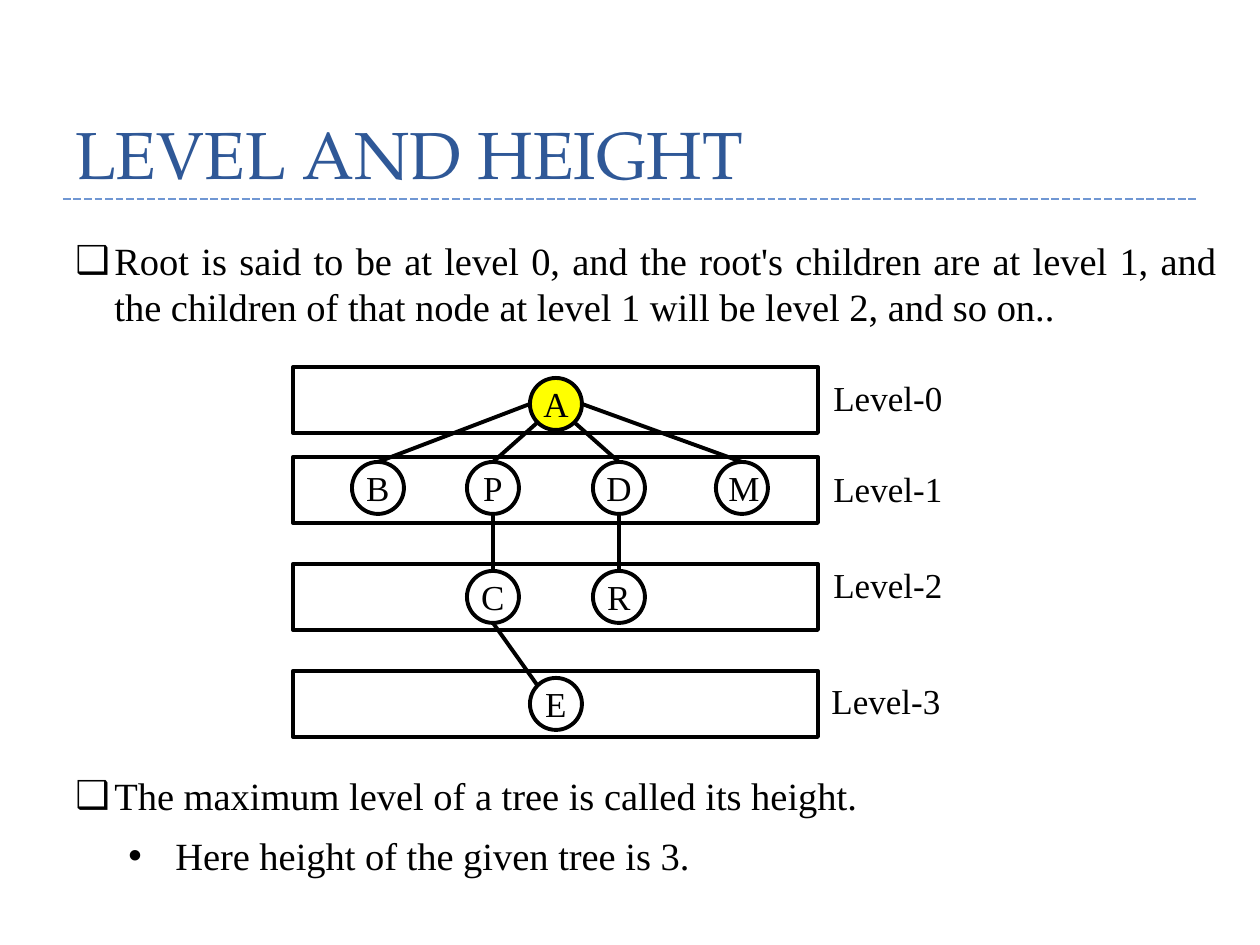
from math import cos, radians, sin

from lxml.etree import SubElement
from pptx import Presentation
from pptx.dml.color import RGBColor
from pptx.enum.dml import MSO_LINE_DASH_STYLE as DASH
from pptx.enum.shapes import MSO_CONNECTOR as CONN, MSO_SHAPE as SHAPE
from pptx.enum.text import MSO_ANCHOR as ANCHOR, MSO_AUTO_SIZE as AUTO, PP_ALIGN as ALIGN
from pptx.oxml.ns import qn
from pptx.util import Emu, Pt

PX = 914400 // 126
COLORS = {"title": "2F5897", "rule": "7097D3", "ink": "000000", "root": "FFFF00"}
SERIF = "Times New Roman"
FONTS = {
    "title": {"name": "TeX Gyre Pagella", "size": Pt(38)},
    "body": {"name": SERIF, "size": Pt(22)},
    "label": {"name": SERIF, "size": Pt(20)},
}
DIAMETER = 52
TOP, DOWN = 270, 90
NODES = {
    "A": (556, 404),
    "B": (378, 488), "P": (493, 488), "D": (619, 488), "M": (742, 488),
    "C": (493, 597), "R": (619, 597),
    "E": (556, 704),
}
EDGES = [
    ("A", 180, "B", TOP), ("A", 135, "P", TOP), ("A", 45, "D", TOP), ("A", 0, "M", TOP),
    ("P", DOWN, "C", TOP), ("D", DOWN, "R", TOP), ("C", DOWN, "E", 225),
]
LEVELS = [(367, 821, 370), (457, 821, 461), (564, 821, 557), (671, 819, 673)]
BULLETS = [
    ("❑", 63, 231, 1166, 106, 39,
     "Root is said to be at level 0, and the root's children are at level 1, "
     "and the children of that node at level 1 will be level 2, and so on.."),
    ("❑", 63, 766, 1166, 59, 39, "The maximum level of a tree is called its height."),
    ("•", 116, 826, 1113, 59, 47, "Here height of the given tree is 3."),
]


def px(*values):
    """Convert pixel lengths to EMU."""
    return [Emu(round(v * PX)) for v in values]


def rgb(key):
    """Look up a palette colour."""
    return RGBColor.from_string(COLORS[key])


def add_text(shapes, box, text, font, color="ink", wrap=True, **formats):
    """Add a one-paragraph text box and return its shape and paragraph."""
    sp = shapes.add_textbox(*px(*box))
    tf = sp.text_frame
    tf.word_wrap = wrap
    tf.auto_size = AUTO.SHAPE_TO_FIT_TEXT
    p = tf.paragraphs[0]
    r = p.add_run()
    r.text = text
    for name, value in FONTS[font].items():
        setattr(r.font, name, value)
    r.font.color.rgb = rgb(color)
    for name, value in formats.items():
        setattr(p, name, value)
    return sp, p


def add_bullet(shapes, char, left, top, width, height, indent, text):
    """Add a justified bullet with a hanging indent."""
    _, p = add_text(shapes, (left, top, width, height), text, "body", alignment=ALIGN.JUSTIFY)
    pPr = p._p.get_or_add_pPr()
    hang = px(indent)[0]
    pPr.set("marL", str(hang))
    pPr.set("indent", str(-hang))
    SubElement(pPr, qn("a:buFont"), typeface="Arial")
    SubElement(pPr, qn("a:buChar"), char=char)


def add_outline(shapes, kind, box, fill=None):
    """Add a black-outlined shape, unfilled unless a colour is given."""
    sp = shapes.add_shape(kind, *px(*box))
    sp.shadow.inherit = False
    if fill:
        sp.fill.solid()
        sp.fill.fore_color.rgb = rgb(fill)
    else:
        sp.fill.background()
    sp.line.color.rgb = rgb("ink")
    sp.line.width = Pt(2.25)
    return sp


def add_line(shapes, start, end, color="ink", width=2.25):
    """Add a straight connector without shadow."""
    line = shapes.add_connector(CONN.STRAIGHT, *px(*start, *end))
    line.line.color.rgb = rgb(color)
    line.line.width = Pt(width)
    SubElement(line._element.spPr, qn("a:effectLst"))
    return line


def rim(name, angle):
    """Return the point on a node's circle at a clockwise angle from the right."""
    x, y = NODES[name]
    a = radians(angle)
    return x + DIAMETER / 2 * cos(a), y + DIAMETER / 2 * sin(a)


def add_tree(shapes):
    """Draw the grouped circles, edges and letters of the tree."""
    group = shapes.add_group_shape().shapes
    circles = {}
    for name, (x, y) in NODES.items():
        box = (x - DIAMETER / 2, y - DIAMETER / 2, DIAMETER, DIAMETER)
        circles[name] = add_outline(group, SHAPE.OVAL, box, "root" if name == "A" else None)
    for parent, out, child, into in EDGES:
        line = add_line(group, rim(parent, out), rim(child, into))
        if into == TOP:
            line.end_connect(circles[child], 0)
    for name, (x, y) in NODES.items():
        add_text(group, (x - 26, y - 28, 52, 55), name, "label",
                 wrap=False, alignment=ALIGN.CENTER)


def add_levels(shapes):
    """Draw the level bands with their labels."""
    for i, (top, label_left, label_top) in enumerate(LEVELS):
        add_outline(shapes, SHAPE.RECTANGLE, (293, top, 525, 66))
        add_text(shapes, (label_left, label_top, 135, 55), f"Level-{i}", "label", wrap=False)


def add_title(shapes):
    """Draw the heading and its dashed rule."""
    rule = add_line(shapes, (63, 199), (1197, 199), "rule", 1.5)
    rule.line.dash_style = DASH.SQUARE_DOT
    sp, _ = add_text(shapes, (63, -21, 1134, 220), "LEVEL AND HEIGHT", "title", "title",
                     line_spacing=Pt(58))
    sp.text_frame.auto_size = AUTO.NONE
    sp.text_frame.vertical_anchor = ANCHOR.BOTTOM


def main():
    """Build and save the slide."""
    prs = Presentation()
    prs.slide_width, prs.slide_height = px(1260, 945)
    shapes = prs.slides.add_slide(prs.slide_layouts[6]).shapes
    add_title(shapes)
    add_tree(shapes)
    add_levels(shapes)
    for bullet in BULLETS:
        add_bullet(shapes, *bullet)
    prs.save("out.pptx")


if __name__ == "__main__":
    main()
